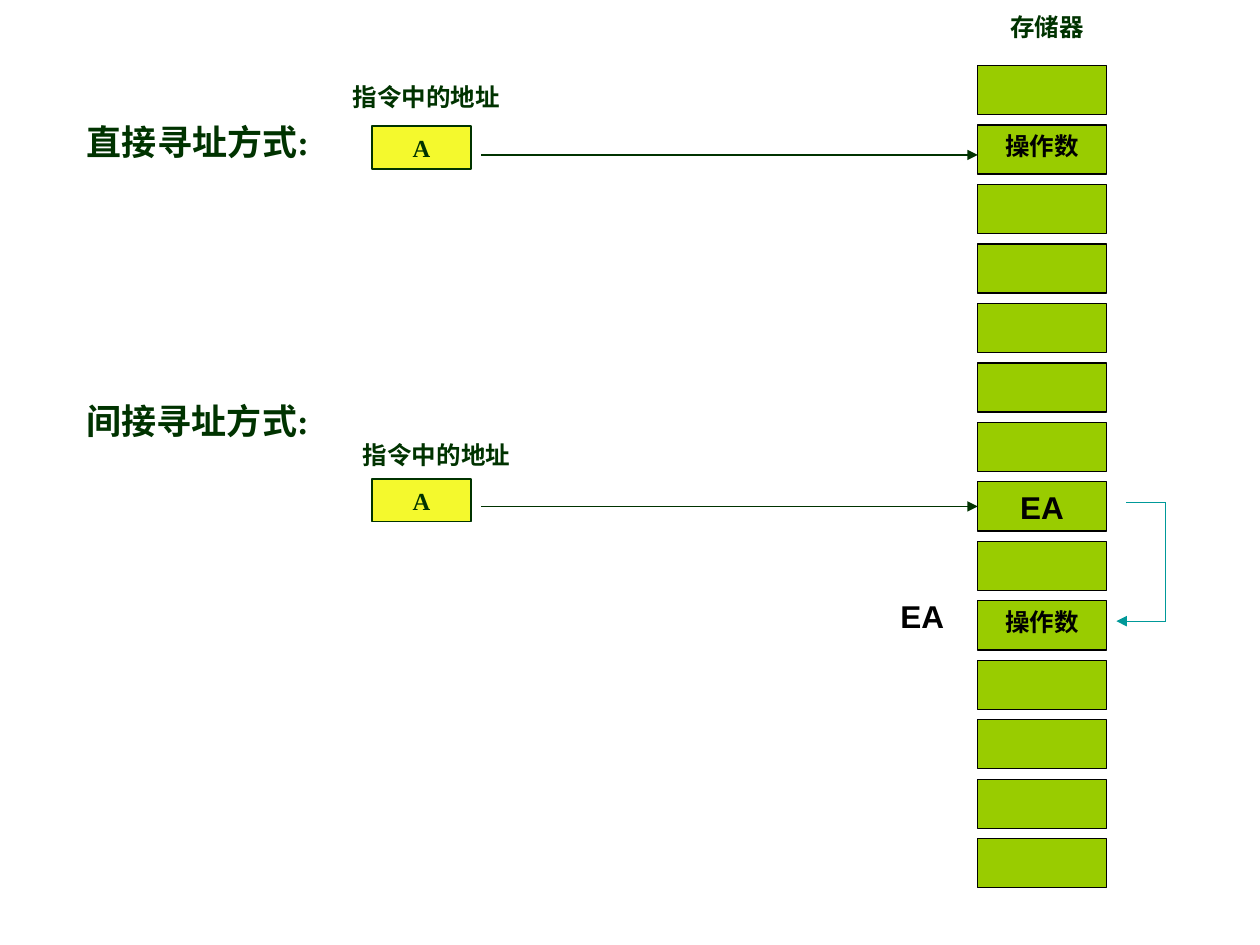
"""Draws direct and indirect addressing against a column of memory cells."""
from itertools import pairwise

from lxml.etree import SubElement
from pptx import Presentation
from pptx.dml.color import RGBColor as Rgb
from pptx.enum.shapes import MSO_CONNECTOR as Connector, MSO_SHAPE as Shape
from pptx.enum.text import MSO_ANCHOR as Anchor, MSO_AUTO_SIZE as AutoSize, PP_ALIGN as Align
from pptx.oxml.ns import qn
from pptx.util import Inches, Pt

THEME = {
    "ink": Rgb.from_string("003300"),
    "black": Rgb.from_string("000000"),
    "cell": Rgb.from_string("99CC00"),
    "address": Rgb.from_string("F4F92D"),
    "return": Rgb.from_string("009999"),
    "serif": "Times New Roman",
    "sans": "Arial",
    "heading": 20,
    "pointer": 18,
    "label": 14,
}

deck = Presentation()
deck.slide_width, deck.slide_height = Inches(10), Inches(7.5)
COLUMN, ROW = deck.slide_width / 100, deck.slide_height / 75
slide = deck.slides.add_slide(deck.slide_layouts[5])


def write(text, at, holder=None, fill=None, border="ink", weight=1, size="label",
          font="serif", color="ink", align=Align.CENTER, anchor=Anchor.TOP, wrap=True):
    left, top, width, height = at
    frame = [round(n) for n in (left * COLUMN, top * ROW, width * COLUMN, height * ROW)]
    if fill:
        holder = slide.shapes.add_shape(Shape.RECTANGLE, *frame)
        holder.shadow.inherit = False
        holder.fill.solid()
        holder.fill.fore_color.rgb = THEME[fill]
        holder.line.color.rgb = THEME[border]
        holder.line.width = Pt(weight)
    elif holder is None:
        holder = slide.shapes.add_textbox(*frame)
    else:
        holder.left, holder.top, holder.width, holder.height = frame
    body = holder.text_frame
    body.auto_size = AutoSize.NONE
    body.word_wrap = wrap
    body.vertical_anchor = anchor
    if text:
        paragraph = body.paragraphs[0]
        paragraph.alignment = align
        run = paragraph.add_run()
        run.text = text
        run.font.name = THEME[font]
        run.font.size = Pt(THEME[size])
        run.font.bold = True
        run.font.color.rgb = THEME[color]
    return holder


def draw_line(start, end, color="ink", weight=1, arrow=True):
    ends = [round(n) for n in (start[0] * COLUMN, start[1] * ROW, end[0] * COLUMN, end[1] * ROW)]
    link = slide.shapes.add_connector(Connector.STRAIGHT, *ends)
    link.line.color.rgb = THEME[color]
    link.line.width = Pt(weight)
    if arrow:
        SubElement(link.line._get_or_add_ln(), qn("a:tailEnd"), type="triangle")
    SubElement(link._element.spPr, qn("a:effectLst"))
    return link


MEMORY_LEFT, MEMORY_TOP, CELL_WIDTH, CELL_HEIGHT, PITCH = 77.6, 5.2, 10.2, 3.9, 4.72
operand = {"text": "操作数", "color": "black"}
pointer = {"text": "EA", "size": "pointer", "font": "sans", "color": "black"}
contents = {1: operand, 7: pointer, 9: operand}

write("存储器", (MEMORY_LEFT, 0.5, 11, 3.4))
memory = [
    write(**contents.get(index, {"text": ""}),
          at=(MEMORY_LEFT, MEMORY_TOP + index * PITCH, CELL_WIDTH, CELL_HEIGHT),
          fill="cell", border="black", weight=0.75)
    for index in range(14)
]
write(**pointer, at=(70.5, 46.9, 5.4, 4), wrap=False)

modes = [
    ("直接寻址方式:", slide.shapes.title, 9.1, (25.6, 6), 10, 12.3),
    ("间接寻址方式:", None, 31.2, (26.4, 34.4), 38, 40.2),
]
arrows = []
for heading, holder, heading_top, caption, address_top, arrow_y in modes:
    write(heading, (5.9, heading_top, 25.2, 4.4), holder=holder, size="heading", align=Align.LEFT)
    write("指令中的地址", (*caption, 16.5, 3.4))
    write("A", (29.5, address_top, 7.9, 3.4), fill="address", anchor=Anchor.MIDDLE)
    arrows.append(draw_line((38.2, arrow_y), (MEMORY_LEFT, arrow_y)))
arrows[1].end_connect(memory[7], 1)
arrows[1].begin_y = arrows[1].end_y

return_route = [(89.4, 39.9), (92.5, 39.9), (92.5, 49.3), (88.6, 49.3)]
for start, end in pairwise(return_route):
    draw_line(start, end, color="return", weight=0.75, arrow=end == return_route[-1])

deck.save("out.pptx")
